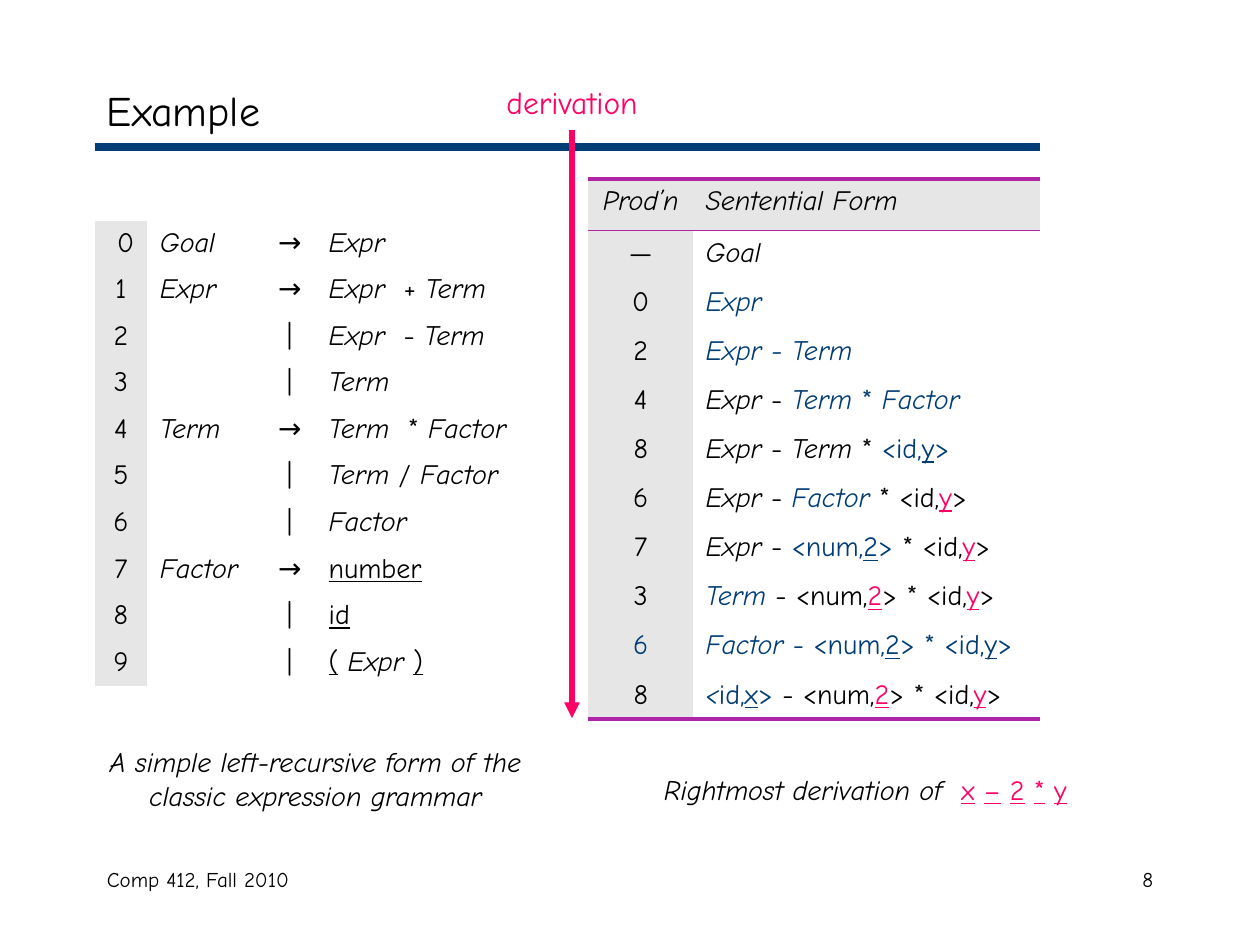
from dataclasses import dataclass
from typing import NamedTuple

import pptx
import pptx.dml.color
import pptx.enum.dml
import pptx.enum.shapes
import pptx.enum.text
import pptx.oxml
import pptx.oxml.ns
import pptx.util

Inches = pptx.util.Inches
Pt = pptx.util.Pt
ALIGN = pptx.enum.text.PP_ALIGN
ANCHOR = pptx.enum.text.MSO_ANCHOR
NO_GRID = "{2D5ABB26-0587-4C30-8999-92F81FD0307C}"


@dataclass(frozen=True)
class Theme:
    font: str = "Comic Neue"
    black: str = "000000"
    blue: str = "003C75"
    pink: str = "FF0065"
    purple: str = "B025A6"
    grey: str = "E6E6E6"
    white: str = "FFFFFF"
    title: int = 24
    label: int = 18
    body: int = 16
    footer: int = 12


class Run(NamedTuple):
    """Style letters: i italic, u underlined, b blue, p pink."""
    text: str
    style: str = ""


class Box(NamedTuple):
    left: float
    top: float
    width: float
    height: float


class Label(NamedTuple):
    box: Box
    runs: list
    size: int
    align: ALIGN = ALIGN.LEFT
    anchor: ANCHOR = ANCHOR.TOP


class Production(NamedTuple):
    number: str
    left: str
    right: list


class Step(NamedTuple):
    rule: Run
    form: list


THEME = Theme()


def rgb(value: str) -> pptx.dml.color.RGBColor:
    return pptx.dml.color.RGBColor.from_string(value)


def write(tf, runs: list, size: int, align: ALIGN) -> None:
    p = tf.paragraphs[0]
    p.alignment = align
    for run in runs:
        r = p.add_run()
        r.text = run.text
        form = {"name": THEME.font, "size": Pt(size),
                "italic": "i" in run.style, "underline": "u" in run.style}
        for key, value in form.items():
            setattr(r.font, key, value)
        ink = (THEME.blue if "b" in run.style
               else THEME.pink if "p" in run.style else THEME.black)
        r.font.color.rgb = rgb(ink)


def add_label(shapes, label: Label):
    sp = shapes.add_textbox(*map(Inches, label.box))
    tf = sp.text_frame
    tf.word_wrap = True
    tf.vertical_anchor = label.anchor
    write(tf, label.runs, label.size, label.align)
    return sp


def add_line(shapes, start: tuple, end: tuple, color: str, width: float):
    line = shapes.add_connector(pptx.enum.shapes.MSO_CONNECTOR.STRAIGHT,
                                *map(Inches, start + end))
    line.line.color.rgb = rgb(color)
    line.line.width = Pt(width)
    sppr = line._element.spPr
    sppr.append(sppr.makeelement(pptx.oxml.ns.qn("a:effectLst"), {}))
    return line


def add_table(shapes, box: Box, cols: list, rows: list):
    table = shapes.add_table(len(rows), len(cols), *map(Inches, box)).table
    table.first_row = table.horz_banding = False
    table._tbl.tblPr.find(pptx.oxml.ns.qn("a:tableStyleId")).text = NO_GRID
    for tracks, sizes, key in ((table.columns, cols, "width"), (table.rows, rows, "height")):
        for track, size in zip(tracks, sizes):
            setattr(track, key, Inches(size))
    return table


def fill_cell(cell, runs: list, align: ALIGN, fill: str | None) -> None:
    if fill:
        cell.fill.solid()
        cell.fill.fore_color.rgb = rgb(fill)
    else:
        cell.fill.background()
    if runs:
        write(cell.text_frame, runs, THEME.body, align)
    else:
        cell.margin_top = cell.margin_bottom = 0  # keeps empty rows low


def add_border(cell, side: str, width: float) -> None:
    ns = pptx.oxml.ns.nsdecls("a")
    ln = pptx.oxml.parse_xml(
        f'<a:ln{side} {ns} w="{Pt(width)}"><a:solidFill>'
        f'<a:srgbClr val="{THEME.purple}"/></a:solidFill></a:ln{side}>')
    cell._tc.get_or_add_tcPr().insert(0, ln)


EXPR, TERM, FACTOR = (Run(name, "i") for name in ("Expr", "Term", "Factor"))
MINUS, TIMES, END = Run(" - "), Run(" * "), Run(">")
Y = [Run("y", "pu"), END]
TWO_Y = [Run("- <num,"), Run("2", "pu"), Run("> * <id,"), *Y]

GRAMMAR = [
    Production(" 0", "Goal", [EXPR]),
    Production("1", "Expr", [EXPR, Run("  + "), TERM]),
    Production("2", "", [EXPR, Run("  - "), TERM]),
    Production("3", "", [TERM]),
    Production("4", "Term", [Run("Term  ", "i"), Run("* "), FACTOR]),
    Production("5", "", [TERM, Run(" / "), FACTOR]),
    Production("6", "", [FACTOR]),
    Production("7", "Factor", [Run("number", "u")]),
    Production("8", "", [Run("id", "u")]),
    Production("9", "", [Run("(", "u"), Run(" "), Run("Expr ", "i"), Run(")", "u")]),
]

DERIVATION = [
    Step(Run("Prod’n", "i"), [Run("Sentential Form", "i")]),
    Step(Run("—"), [Run("Goal", "i")]),
    Step(Run("0"), [Run("Expr", "ib")]),
    Step(Run("2"), [Run("Expr - Term", "ib")]),
    Step(Run("4"), [EXPR, MINUS, Run("Term", "ib"), Run(" * ", "b"), Run("Factor", "ib")]),
    Step(Run("8"), [EXPR, MINUS, TERM, TIMES, Run("<id,", "b"), Run("y", "bu"), Run(">", "b")]),
    Step(Run("6"), [EXPR, MINUS, Run("Factor", "ib"), Run(" * <id,"), *Y]),
    Step(Run("7"), [EXPR, MINUS, Run("<num,", "b"), Run("2", "bu"), Run("> ", "b"),
                    Run("* <id,"), *Y]),
    Step(Run("3"), [Run("Term ", "ib"), *TWO_Y]),
    Step(Run("6", "b"), [Run("Factor ", "ib"), Run("- <num,", "b"), Run("2", "bu"),
                         Run("> * <id,", "b"), Run("y", "bu"), Run(">", "b")]),
    Step(Run("8"), [Run("<", "ib"), Run("id,", "b"), Run("x", "bu"), Run("> ", "b"), *TWO_Y]),
]

LABELS = [
    Label(Box(0.75, 6.83, 3.17, 0.5), [Run("Comp 412, Fall 2010")], THEME.footer),
    Label(Box(7.17, 6.83, 2.08, 0.5), [Run("8")], THEME.footer, ALIGN.RIGHT),
    Label(Box(0.75, 0.58, 8.5, 0.58), [Run("Example")], THEME.title, anchor=ANCHOR.MIDDLE),
    Label(Box(0.67, 5.86, 3.67, 0.64),
          [Run("A simple left-recursive form of the classic expression grammar", "i")],
          THEME.body, ALIGN.CENTER),
    Label(Box(4.38, 6.08, 5.05, 0.37),
          [Run("Rightmost derivation of  ", "i")]
          + [run for sign in "x–2*y" for run in (Run(sign, "pu"), Run(" ", "p"))],
          THEME.body, ALIGN.CENTER),
]


def draw_grammar(shapes) -> None:
    table = add_table(shapes, Box(0.75, 1.75, 3.67, 3.7),
                      [0.42, 0.92, 0.42, 1.91], [0.37] * len(GRAMMAR))
    for i, rule in enumerate(GRAMMAR):
        left = [Run(rule.left, "i")] if rule.left else []
        sign = Run("→" if rule.left else "|")
        for j, runs in enumerate(([Run(rule.number)], left, [sign], rule.right)):
            fill_cell(table.cell(i, j), runs, ALIGN.LEFT if j % 2 else ALIGN.CENTER,
                      None if j else THEME.grey)


def draw_derivation(shapes) -> None:
    last = len(DERIVATION) - 1
    table = add_table(shapes, Box(4.67, 1.42, 3.58, 4.27), [0.83, 2.75],
                      [0.41] + [0.39] * (last - 1) + [0.37])
    for i, step in enumerate(DERIVATION):
        fill_cell(table.cell(i, 0), [step.rule], ALIGN.CENTER, THEME.grey)
        fill_cell(table.cell(i, 1), step.form, ALIGN.LEFT, THEME.white if i else THEME.grey)
    for j in range(2):
        for i, side, width in ((0, "B", 1), (0, "T", 2.25), (last, "B", 2.25)):
            add_border(table.cell(i, j), side, width)


def draw_arrow(shapes) -> None:
    group = shapes.add_group_shape().shapes
    arrow = add_line(group, (4.54, 1.03), (4.54, 5.7), THEME.pink, 3)
    ln = arrow.line._get_or_add_ln()
    ln.append(ln.makeelement(pptx.oxml.ns.qn("a:tailEnd"), {"type": "triangle"}))
    name = add_label(group, Label(Box(3.5, 0.61, 2.08, 0.42), [Run("derivation", "p")],
                                  THEME.label, ALIGN.CENTER))
    arrow.begin_connect(name, 2)


def main() -> None:
    prs = pptx.Presentation()
    prs.slide_width, prs.slide_height = Inches(10), Inches(7.5)
    s = prs.slides.add_slide(prs.slide_layouts[6])
    # Title rule, title, captions and footer
    add_line(s.shapes, (0.75, 1.17), (8.25, 1.17), THEME.blue, 4.5)
    for label in LABELS:
        add_label(s.shapes, label)
    # Grammar on the left, derivation on the right
    draw_grammar(s.shapes)
    draw_derivation(s.shapes)
    # Arrow between them
    draw_arrow(s.shapes)
    prs.save("out.pptx")


if __name__ == "__main__":
    main()
